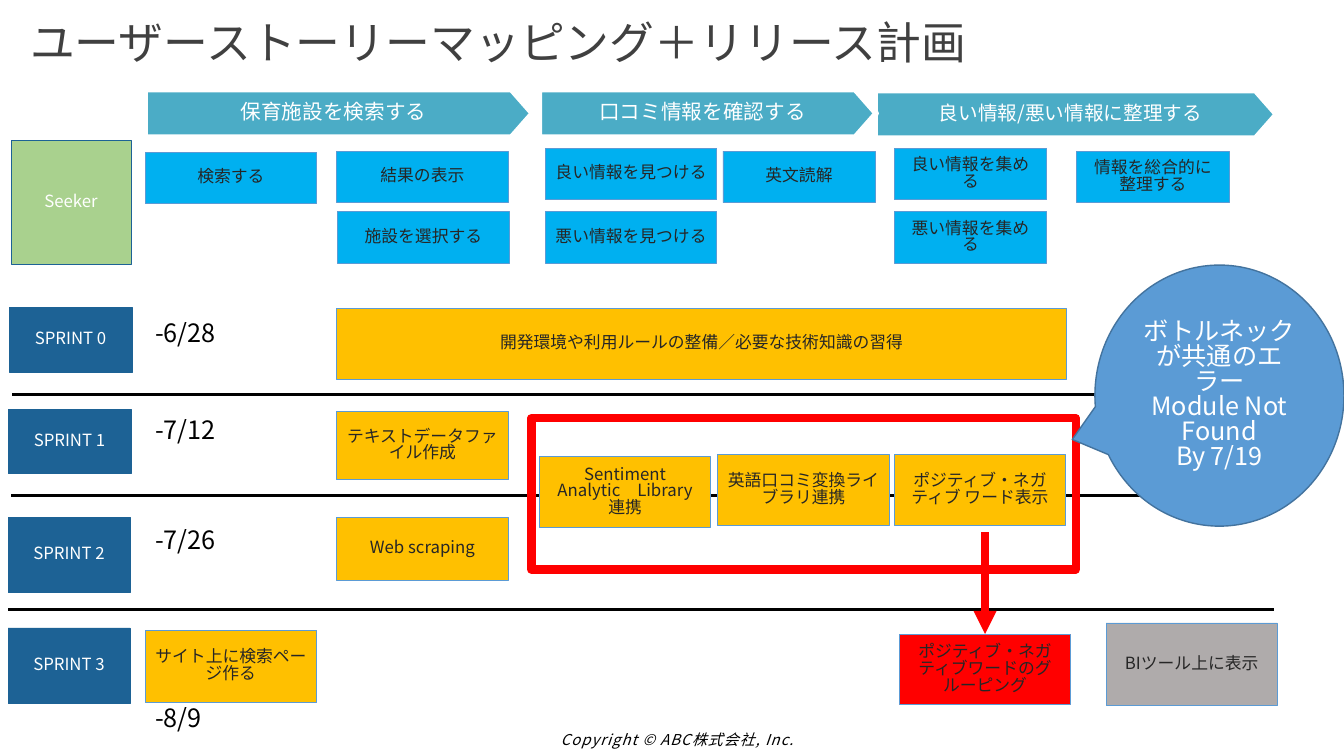
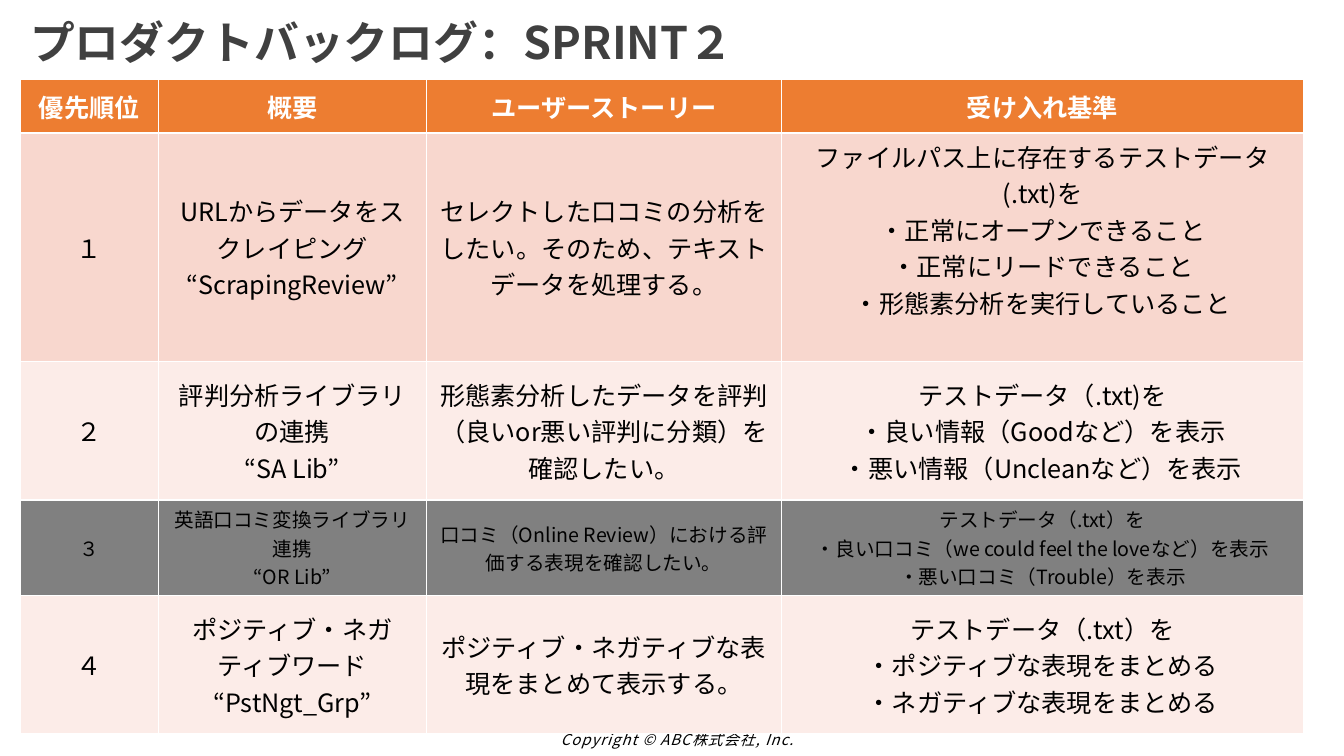
from lxml import etree
from pptx import Presentation
from pptx.dml.color import RGBColor
from pptx.enum import shapes, text
from pptx.oxml.ns import qn
from pptx.util import Inches, Pt

FONT = "Noto Sans CJK JP"
INK, WHITE, BLACK, GREY = "262626", "FFFFFF", "000000", "404040"
SKY, GOLD, RED, TEAL, NAVY = "00B0F0", "FFC000", "FF0000", "4BACC6", "1D6295"
BLUE, GREEN, ASH = "5B9BD5", "A9D18E", "AFABAB"
KIND = shapes.MSO_SHAPE
LEFT, MID = text.PP_ALIGN.LEFT, text.PP_ALIGN.CENTER
hue = RGBColor.from_string


def write(frame, words, size, color, bold=False, align=MID, space=None):
    """Fill a text frame, one paragraph for each line of words."""
    frame.word_wrap = True
    for i, line in enumerate(words.split("\n")):
        para = frame.add_paragraph() if i else frame.paragraphs[0]
        para.alignment = align
        if space:
            para.line_spacing = space
        run = para.add_run()
        run.text = line
        font = run.font
        font.size, font.bold, font.name = Pt(size), bold, FONT
        font.color.rgb = hue(color)
        east = etree.SubElement(run._r.get_or_add_rPr(), qn("a:ea"))
        east.set("typeface", FONT)


def box(page, at, words="", size=12, color=INK, fill=None, edge=BLUE, width=0.5,
        kind=KIND.RECTANGLE, bold=False, align=MID, space=0.83):
    """Add a shape with text; kind None gives a plain text box."""
    spot = [Inches(n) for n in at]
    if kind is None:
        item = page.shapes.add_textbox(*spot)
    else:
        item = page.shapes.add_shape(kind, *spot)
        item.shadow.inherit = False
        item.line.color.rgb = hue(edge)
        item.line.width = Pt(width)
        if fill:
            item.fill.solid()
            item.fill.fore_color.rgb = hue(fill)
        else:
            item.fill.background()
        item.text_frame.vertical_anchor = text.MSO_ANCHOR.MIDDLE
    if words:
        write(item.text_frame, words, size, color, bold, align, space)
    return item


deck = Presentation()
deck.slide_width, deck.slide_height = Inches(13.33), Inches(7.5)

# Shared title and footer
pages = []
for name, bold in [("ユーザーストーリーマッピング＋リリース計画", False),
                   ("プロダクトバックログ：SPRINT２", True)]:
    page = deck.slides.add_slide(deck.slide_layouts[6])
    head = box(page, (0.2, 0.15, 12.29, 0.6), name, 32, GREY,
               kind=None, bold=bold, align=LEFT, space=0.9)
    head.text_frame.vertical_anchor = text.MSO_ANCHOR.MIDDLE
    foot = box(page, (4.81, 7.23, 3.81, 0.28), "Copyright © ABC株式会社, Inc.",
               10.7, BLACK, kind=None)
    run = foot.text_frame.paragraphs[0].runs[0]
    run.font.italic = True
    run._r.get_or_add_rPr().set("spc", "70")
    pages.append(page)
plan, log = pages

# Story map: activities
for x, y, w, size, words in [(8.68, 0.9, 3.98, 14, "良い情報/悪い情報に整理する"),
                             (5.35, 0.89, 3.34, 14.7, "口コミ情報を確認する"),
                             (1.44, 0.89, 3.84, 14.7, "保育施設を検索する")]:
    step = box(plan, (x, y, w, 0.47), words, size, WHITE, TEAL, WHITE, 4, KIND.PENTAGON)
    step.adjustments[0] = 0.44

# Row labels and sprint dates
for x, y, w, h, words, fill in [(0.11, 1.39, 1.19, 1.23, "Seeker", GREEN),
                                (0.09, 3.05, 1.22, 0.64, "SPRINT 0", NAVY),
                                (0.08, 4.06, 1.22, 0.64, "SPRINT 1", NAVY),
                                (0.08, 5.13, 1.21, 0.75, "SPRINT 2", NAVY),
                                (0.08, 6.23, 1.21, 0.75, "SPRINT 3", NAVY)]:
    tag = box(plan, (x, y, w, h), words, 12, WHITE, fill, NAVY)
    tag.text_frame.margin_left = tag.text_frame.margin_right = 0
for y, date in [(3.15, "-6/28"), (4.11, "-7/12"), (5.2, "-7/26"), (6.97, "-8/9")]:
    box(plan, (1.44, y, 1.35, 0.4), date, 18, BLACK, kind=None, align=LEFT)

# Sprint dividers
rules = []
for x, y in [(0.12, 3.91), (0.11, 4.92), (0.08, 6.05)]:
    rule = plan.shapes.add_connector(shapes.MSO_CONNECTOR.STRAIGHT, Inches(x), Inches(y),
                                     Inches(x + 12.56), Inches(y))
    rules.append((rule, BLACK, 2))

# User tasks
for x, y, w, words in [(1.44, 1.51, 1.7, "検索する"),
                       (3.34, 1.5, 1.7, "結果の表示"),
                       (3.35, 2.1, 1.7, "施設を選択する"),
                       (5.41, 1.47, 1.7, "良い情報を見つける"),
                       (5.41, 2.1, 1.7, "悪い情報を見つける"),
                       (7.17, 1.5, 1.51, "英文読解"),
                       (8.87, 1.47, 1.51, "良い情報を集める"),
                       (8.87, 2.1, 1.51, "悪い情報を集める"),
                       (10.68, 1.5, 1.51, "情報を総合的に整理する")]:
    box(plan, (x, y, w, 0.51), words, fill=SKY)

# Stories in each sprint
for x, y, w, h, words, fill in [
        (3.34, 3.06, 7.24, 0.7, "開発環境や利用ルールの整備／必要な技術知識の習得", GOLD),
        (3.34, 4.08, 1.7, 0.68, "テキストデータファイル作成", GOLD),
        (5.35, 4.53, 1.7, 0.7, "Sentiment Analytic　Library連携", GOLD),
        (7.12, 4.51, 1.7, 0.7, "英語口コミ変換ライブラリ連携", GOLD),
        (8.87, 4.51, 1.7, 0.7, "ポジティブ・ネガティブ ワード表示", GOLD),
        (3.34, 5.13, 1.7, 0.63, "Web scraping", GOLD),
        (1.44, 6.25, 1.7, 0.72, "サイト上に検索ページ作る", GOLD),
        (10.97, 6.18, 1.7, 0.82, "BIツール上に表示", ASH)]:
    box(plan, (x, y, w, h), words, fill=fill)

# Bottleneck: frame, moved story, arrow, callout
box(plan, (5.27, 4.15, 5.4, 1.5), edge=RED, width=6)
moved = box(plan, (8.92, 6.29, 1.7, 0.7),
            "ポジティブ・ネガティブワードのグルーピング", fill=RED)
arrow = plan.shapes.add_connector(shapes.MSO_CONNECTOR.STRAIGHT, Inches(9.77), Inches(5.28),
                                  Inches(9.77), Inches(6.29))
arrow.end_connect(moved, 0)
for line, color, width in rules + [(arrow, RED, 5.5)]:
    line.line.color.rgb = hue(color)
    line.line.width = Pt(width)
    etree.SubElement(line._element.spPr, qn("a:effectLst"))
etree.SubElement(arrow.line._get_or_add_ln(), qn("a:tailEnd")).set("type", "triangle")
note = box(plan, (10.86, 2.63, 2.47, 2.59),
           "ボトルネックが共通のエラー\nModule Not Found\nBy 7/19",
           18, WHITE, BLUE, "43739E", 1, KIND.OVAL_CALLOUT)
note.adjustments[0], note.adjustments[1] = -0.591, 0.168

# Backlog table: height, fill, text size, cells
rows = [
    (0.53, "ED7D31", 18, ["優先順位", "概要", "ユーザーストーリー", "受け入れ基準"]),
    (2.27, "F8D7CE", 18, [
        "１", "URLからデータをスクレイピング\n“ScrapingReview”",
        "セレクトした口コミの分析をしたい。そのため、テキストデータを処理する。",
        "ファイルパス上に存在するテストデータ(.txt)を\n・正常にオープンできること\n"
        "・正常にリードできること\n・形態素分析を実行していること"]),
    (1.37, "FCECE8", 18, [
        "２", "評判分析ライブラリの連携\n“SA Lib”",
        "形態素分析したデータを評判（良いor悪い評判に分類）を確認したい。",
        "テストデータ（.txt)を\n・良い情報（Goodなど）を表示\n・悪い情報（Uncleanなど）を表示"]),
    (0.95, "808080", 14, [
        "３", "英語口コミ変換ライブラリ連携\n“OR Lib”",
        "口コミ（Online Review）における評価する表現を確認したい。",
        "テストデータ（.txt）を\n・良い口コミ（we could feel the loveなど）を表示\n"
        "・悪い口コミ（Trouble）を表示"]),
    (1.37, "FCECE8", 18, [
        "４", "ポジティブ・ネガティブワード\n“PstNgt_Grp”",
        "ポジティブ・ネガティブな表現をまとめて表示する。",
        "テストデータ（.txt）を\n・ポジティブな表現をまとめる\n・ネガティブな表現をまとめる"]),
]
cols = [1.37, 2.66, 3.52, 5.18]
grid = log.shapes.add_table(len(rows), len(cols), Inches(0.2), Inches(0.79),
                            Inches(sum(cols)), Inches(sum(r[0] for r in rows))).table
grid.horz_banding = False
for col, w in zip(grid.columns, cols):
    col.width = Inches(w)
for i, (h, fill, size, cells) in enumerate(rows):
    grid.rows[i].height = Inches(h)
    for j, words in enumerate(cells):
        cell = grid.cell(i, j)
        cell.fill.solid()
        cell.fill.fore_color.rgb = hue(fill)
        cell.vertical_anchor = text.MSO_ANCHOR.MIDDLE
        write(cell.text_frame, words, size, BLACK if i else WHITE, bold=not i)
grid.cell(1, 3).margin_bottom = Inches(0.41)

deck.save("out.pptx")
